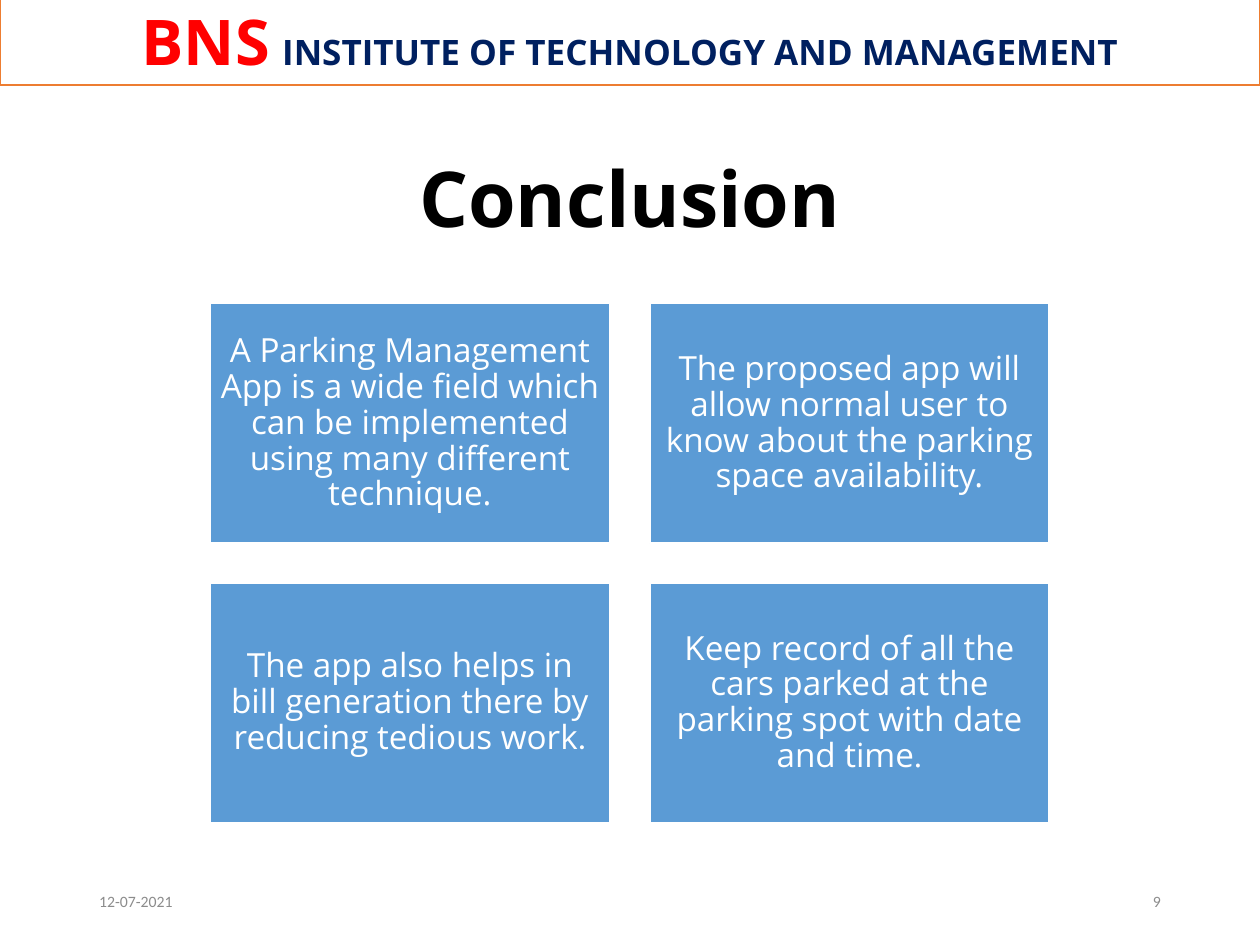
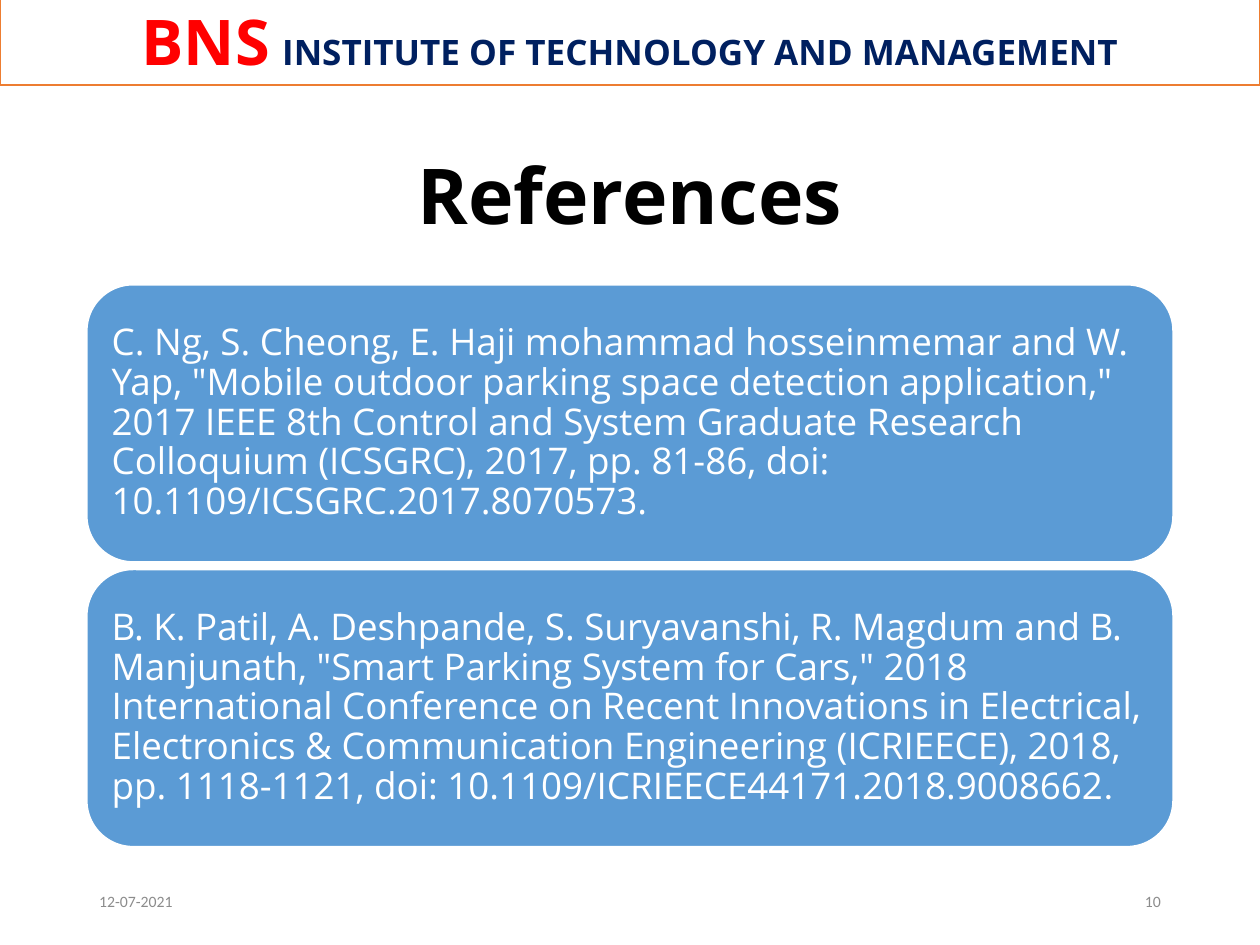
import pptx
import pptx.util
import pptx.dml.color
import pptx.enum.shapes
import pptx.enum.text

Cm = pptx.util.Cm
Pt = pptx.util.Pt
SHAPE = pptx.enum.shapes.MSO_SHAPE
ALIGN = pptx.enum.text.PP_ALIGN

CONCLUSIONS = [
    [("A Parking Management App is a wide field which can be implemented "
      "using many different technique.", "Open Sans")],
    [("The proposed app will allow normal user to know about the parking "
      "space availability.", "Open Sans")],
    [("The app also helps in bill generation there by reducing tedious work", "Open Sans"),
     (".", "Calibri")],
    [("Keep record of all the cars parked at the parking spot with date and time", "Open Sans"),
     (".", "Times New Roman")],
]
REFERENCES = [
    [("C. Ng, S. Cheong, E. Haji mohammad hosseinmemar and W. Yap, "
      "\"Mobile outdoor parking space detection application,\" 2017 IEEE 8th Control "
      "and System Graduate Research Colloquium (ICSGRC), 2017, pp. 81-86, "
      "doi: 10.1109/ICSGRC.2017.8070573.", "Open Sans")],
    [("B. K. Patil, A. Deshpande, S. Suryavanshi, R. Magdum and B. Manjunath, "
      "\"Smart Parking System for Cars,\" 2018 International Conference on Recent "
      "Innovations in Electrical, Electronics & Communication Engineering (ICRIEECE), "
      "2018, pp. 1118-1121, doi: 10.1109/ICRIEECE44171.2018.9008662", "Open Sans"),
     (".", "Calibri")],
]


def color(hex_text):
    return pptx.dml.color.RGBColor.from_string(hex_text)


class Deck:
    FONT = "Open Sans"
    WHITE, BLUE, ORANGE = "FFFFFF", "5B9BD5", "ED7D31"
    RED, NAVY, BLACK, GRAY = "FF0000", "002060", "000000", "8C8C8C"

    def __init__(self):
        self.prs = pptx.Presentation()
        self.prs.slide_width, self.prs.slide_height = Cm(25.4), Cm(19.05)
        self.slide = None

    def start(self, title, title_top, number):
        self.slide = self.prs.slides.add_slide(self.prs.slide_layouts[6])
        self.header()
        self.label("12-07-2021", (1.75, 17.65, 5.72, 1.02), ALIGN.LEFT, "Calibri", 9, self.GRAY)
        self.label(number, (17.93, 17.65, 5.72, 1.02), ALIGN.RIGHT, "Calibri", 9, self.GRAY)
        heading = self.label(title, (6.35, title_top, 12.7, 2.13), ALIGN.CENTER,
                             self.FONT, 44, self.BLACK)
        heading.font.bold = True

    def frame(self, shape, margin_x, margin_y):
        text = shape.text_frame
        text.word_wrap = True
        text.vertical_anchor = pptx.enum.text.MSO_ANCHOR.MIDDLE
        text.margin_left = text.margin_right = Cm(margin_x)
        text.margin_top = text.margin_bottom = Cm(margin_y)
        return text.paragraphs[0]

    def box(self, kind, place, fill, line):
        shape = self.slide.shapes.add_shape(kind, *map(Cm, place))
        shape.shadow.inherit = False
        shape.fill.solid()
        shape.fill.fore_color.rgb = color(fill)
        shape.line.color.rgb = color(line)
        shape.line.width = Pt(1)
        return shape

    def header(self):
        band = self.box(SHAPE.RECTANGLE, (0, -0.08, 25.4, 1.8), self.WHITE, self.ORANGE)
        name = self.frame(band, 0.25, 0)
        name.alignment = ALIGN.CENTER
        name.font.name, name.font.bold = self.FONT, True
        for words, size, tint in [("BNS", 36, self.RED), (" ", 27, self.RED),
                                  ("INSTITUTE OF TECHNOLOGY AND MANAGEMENT", 20, self.NAVY)]:
            part = name.add_run()
            part.text = words
            part.font.size = Pt(size)
            part.font.color.rgb = color(tint)

    def label(self, words, place, align, font, size, tint):
        line = self.frame(self.slide.shapes.add_textbox(*map(Cm, place)), 0.25, 0)
        line.text = words
        line.alignment = align
        line.font.name, line.font.size = font, Pt(size)
        line.font.color.rgb = color(tint)
        return line

    def card(self, kind, place, parts, align, size, margin):
        statement = self.frame(self.box(kind, place, self.BLUE, self.WHITE), margin, margin)
        statement.alignment = align
        statement.line_spacing = 0.9
        statement.font.size = Pt(size)
        statement.font.color.rgb = color(self.WHITE)
        for words, font in parts:
            part = statement.add_run()
            part.text = words
            part.font.name = font


def main():
    deck = Deck()

    deck.start("Conclusion", 2.9, "9")
    for i, conclusion in enumerate(CONCLUSIONS):
        row, column = divmod(i, 2)
        place = (4.24 + column * 8.86, 6.12 + row * 5.64, 8.05, 4.83)
        deck.card(SHAPE.RECTANGLE, place, conclusion, ALIGN.CENTER, 19, 0.2)

    deck.start("References", 2.84, "10")
    for row, reference in enumerate(REFERENCES):
        place = (1.75, 5.74 + row * 5.74, 21.9, 5.59)
        deck.card(SHAPE.ROUNDED_RECTANGLE, place, reference, ALIGN.LEFT, 21, 0.23)

    deck.prs.save("out.pptx")


if __name__ == "__main__":
    main()
